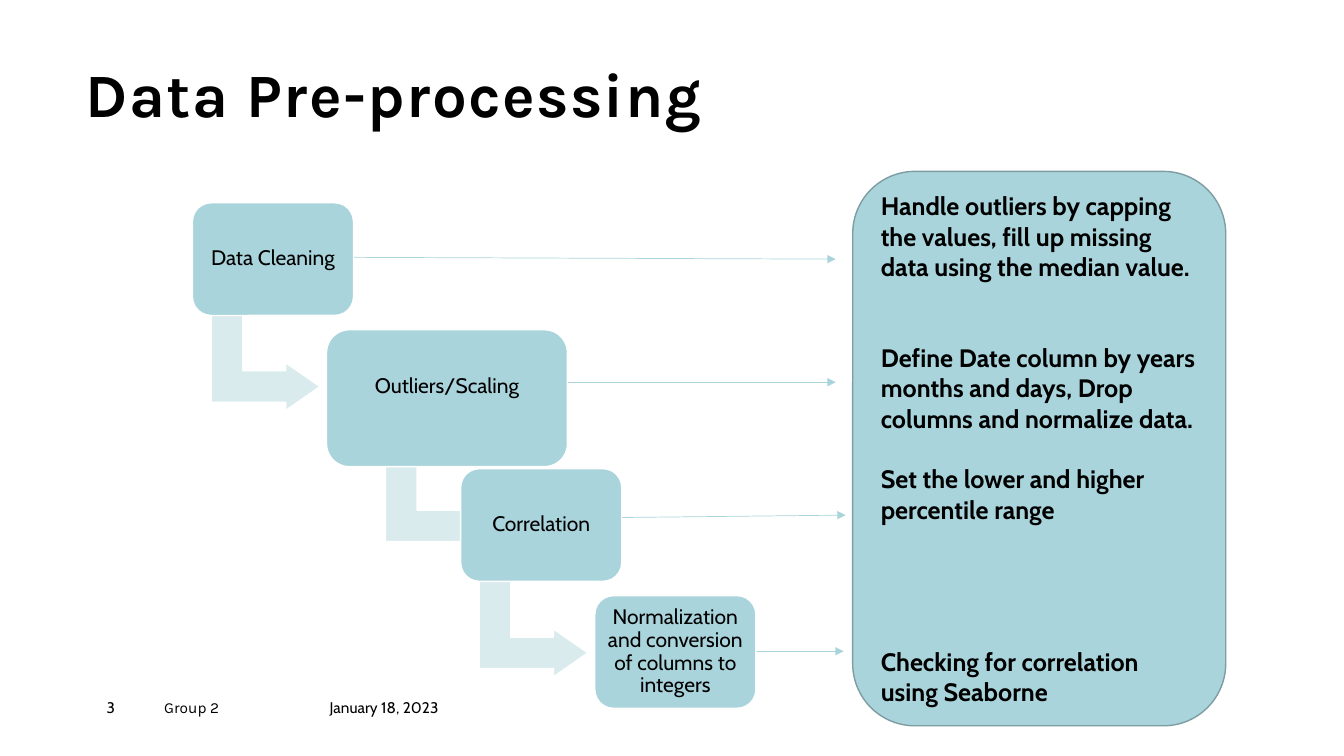
import pptx
import pptx.util
import pptx.dml.color
import pptx.enum.shapes
import pptx.enum.text
import pptx.oxml.ns
import lxml.etree

Cm, Pt = pptx.util.Cm, pptx.util.Pt
SHAPE = pptx.enum.shapes.MSO_SHAPE
ANCHOR = pptx.enum.text.MSO_ANCHOR
ALIGN = pptx.enum.text.PP_ALIGN

COLORS = {"box": "A9D4DB", "bend": "DAEBEE", "edge": "7D9DA2", "white": "FFFFFF", "text": "000000"}

TITLE = "Data Pre-processing"
FOOTERS = [
    ("3", "Cabin", 2.69, 1.45),
    ("Group 2", "Karla", 4.14, 4.17),
    ("January 18, 2023", "Cabin", 8.31, 3.66),
]
STEPS = [
    {"text": "Data Cleaning", "top": 5.11, "size": (4.06, 2.84), "bend": (5.49, 7.77)},
    {"text": "Outliers/Scaling", "top": 8.31, "size": (6.07, 3.45), "bend": (9.88, 11.28), "lift": 0.56},
    {"text": "Correlation", "top": 11.81, "size": (4.06, 2.84), "bend": (12.24, 14.48)},
    {"text": "Normalization and conversion of columns to integers", "top": 15.01, "size": (4.06, 2.84)},
]
STEP_LEFT, STEP_SHIFT = 4.85, 3.38
BEND_SIZE, BEND_ADJ = (2.41, 2.74), (0.33, 0.25, 0.36)
POINTERS = [
    (7.65, 6.48, 21.06, 6.53),
    (11.15, 9.63, 21.06, 9.63),
    (13.87, 13.06, 21.31, 12.98),
    (17.73, 16.41, 21.26, 16.41),
]
PANEL = (21.49, 4.32, 9.4, 13.97)
NOTES = [
    ("Handle outliers by capping the values, fill up missing data using the median value.", 0),
    ("Define Date column by years months and days, Drop columns and normalize data.", 2),
    ("Set the lower and higher percentile range", 1),
    ("Checking for correlation using Seaborne", 4),
]
NOTE_LINE = 21.8


def rgb(name):
    return pptx.dml.color.RGBColor.from_string(COLORS[name])


def set_frame(s, anchor, insets):
    tf = s.text_frame
    tf.word_wrap = True
    tf.vertical_anchor = anchor
    tf.margin_left, tf.margin_top, tf.margin_right, tf.margin_bottom = map(Cm, insets)
    return tf


def add_run(p, text, size, font="Cabin", bold=False):
    r = p.add_run()
    r.text = text
    r.font.size, r.font.name, r.font.bold = Pt(size), font, bold
    r.font.color.rgb = rgb("text")
    return r


def add_label(sl, box, text, size, font, anchor=ANCHOR.TOP, bold=False):
    tf = set_frame(sl.shapes.add_textbox(*map(Cm, box)), anchor, (0, 0, 0, 0))
    p = tf.paragraphs[0]
    return p, add_run(p, text, size, font, bold)


def add_block(sl, kind, box, fill, line, adjustments=()):
    s = sl.shapes.add_shape(kind, *map(Cm, box))
    s.shadow.inherit = False
    s.fill.solid()
    s.fill.fore_color.rgb = rgb(fill)
    s.line.color.rgb = rgb(line)
    s.line.width = Pt(1)
    for i, value in enumerate(adjustments):
        s.adjustments[i] = value
    return s


def add_pointer(sl, ends):
    c = sl.shapes.add_connector(pptx.enum.shapes.MSO_CONNECTOR.STRAIGHT, *map(Cm, ends))
    c.line.color.rgb = rgb("box")
    c.line.width = Pt(0.5)
    qn = pptx.oxml.ns.qn
    lxml.etree.SubElement(c.line._get_or_add_ln(), qn("a:tailEnd"), type="triangle")
    lxml.etree.SubElement(c._element.spPr, qn("a:effectLst"))


def add_step(sl, i, step):
    if "bend" in step:
        bend = add_block(sl, SHAPE.BENT_UP_ARROW, step["bend"] + BEND_SIZE, "bend", "white", BEND_ADJ)
        bend.rotation = 90
    box = (STEP_LEFT + i * STEP_SHIFT, step["top"]) + step["size"]
    s = add_block(sl, SHAPE.ROUNDED_RECTANGLE, box, "box", "white")
    tf = set_frame(s, ANCHOR.MIDDLE, (0.15, 0.15, 0.15, 0.15 + step.get("lift", 0)))
    p = tf.paragraphs[0]
    p.alignment, p.line_spacing = ALIGN.CENTER, 0.9
    add_run(p, step["text"], 15)


def add_panel(sl):
    s = add_block(sl, SHAPE.ROUNDED_RECTANGLE, PANEL, "box", "edge")
    tf = set_frame(s, ANCHOR.MIDDLE, (0.25, 0, 0.25, 0))
    for i, (text, gap) in enumerate(NOTES):
        p = tf.add_paragraph() if i else tf.paragraphs[0]
        p.alignment = ALIGN.LEFT
        p.space_before = Pt(gap * NOTE_LINE)
        add_run(p, text, 18, bold=True)


def main():
    """Build the data pre-processing slide."""
    prs = pptx.Presentation()
    prs.slide_width, prs.slide_height = Cm(33.87), Cm(19.05)
    sl = prs.slides.add_slide(prs.slide_layouts[6])
    p, r = add_label(sl, (2.16, 1.6, 22.45, 1.7), TITLE, 44, "Karla", ANCHOR.BOTTOM, True)
    p.line_spacing = 0.9
    r.font._element.set("spc", "100")
    for text, font, left, width in FOOTERS:
        add_label(sl, (left, 17.58, width, 0.69), text, 11, font)
    for ends in POINTERS:
        add_pointer(sl, ends)
    for i, step in enumerate(STEPS):
        add_step(sl, i, step)
    add_panel(sl)
    prs.save("out.pptx")


if __name__ == "__main__":
    main()
